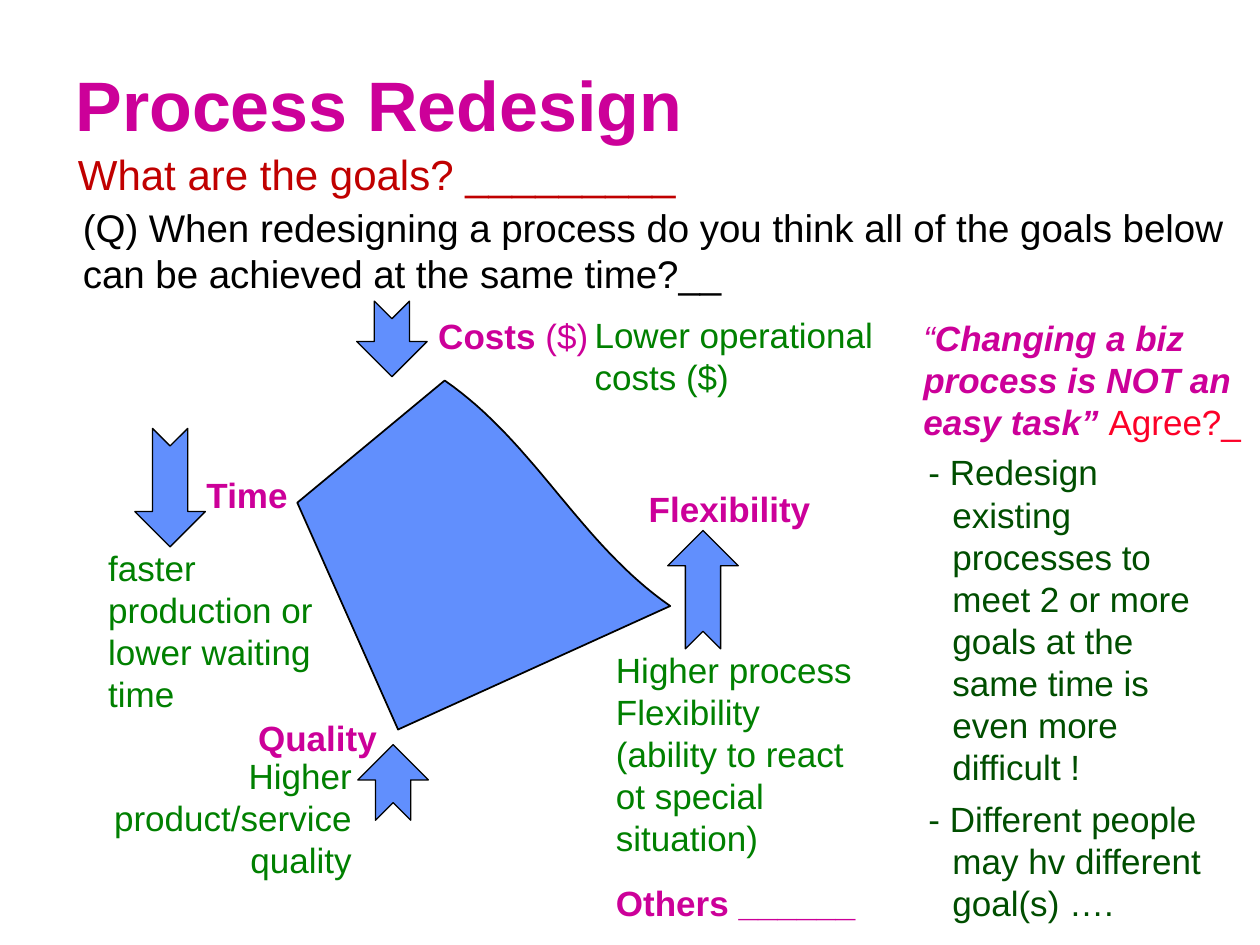
from pptx import Presentation
from pptx.dml.color import RGBColor
from pptx.enum.shapes import MSO_SHAPE as Kind
from pptx.enum.text import MSO_ANCHOR as Anchor, PP_ALIGN as Align
from pptx.util import Inches as In, Pt

PINK, GREEN, DARK = "CC0099", "008000", "004E00"
RED, BRIGHT, BLACK, BLUE = "C00000", "FC0128", "000000", "618FFD"

TITLE = "Process Redesign"

# Box (left, top, width, height), paragraphs, format
LABELS = [
    ((3.38, 2.45, 1.4, 0.44), [[("Costs ", {}), ("($)", {"bold": False})]]),
    ((1.95, 5.64, 1.15, 0.44), ["Quality"]),
    ((1.54, 3.71, 0.85, 0.44), ["Time"]),
    ((5.05, 3.82, 1.49, 0.44), ["Flexibility"]),
]
NOTES = [
    ((4.62, 2.44, 2.69, 0.77), ["Lower operational costs ($)"], {}),
    ((4.79, 5.1, 2.12, 1.78),
     ["Higher process",
      "Flexibility (ability to react ot special situation)"], {}),
    ((0.37, 5.94, 2.52, 1.11), ["Higher product/service quality"],
     {"align": Align.RIGHT}),
    ((0.76, 4.29, 1.98, 1.45),
     ["faster production or lower waiting time"], {}),
    ((0.56, 1.57, 9.46, 0.84),
     ["(Q) When redesigning a process do you think all of the goals below "
      "can be achieved at the same time?__"], {"size": 22, "color": BLACK}),
    ((7.23, 2.46, 2.8, 1.45),
     [[("“", {"italic": True}),
       ("Changing a biz process is NOT an easy task” ",
        {"bold": True, "italic": True}),
       ("Agree?_", {"color": BRIGHT})]], {"color": PINK}),
    ((7.27, 3.53, 2.51, 3.89),
     ["- Redesign existing processes to meet 2 or more goals at the same "
      "time is even more difficult !",
      "- Different people may hv different goal(s) …."],
     {"color": DARK, "hang": 0.19, "gap": 6}),
    ((0.52, 1.13, 7.05, 0.91), ["What are the goals? _________"],
     {"size": 24, "color": RED}),
    ((4.79, 6.95, 4.39, 0.44), ["Others ______"],
     {"color": PINK, "bold": True}),
]

# Centre x, centre y, length, turn
ARROWS = [
    (3.11, 2.69, 0.6, 90),
    (1.35, 3.87, 0.94, 90),
    (3.12, 6.21, 0.6, 270),
    (5.58, 4.68, 0.94, 270),
]
BREADTH = 0.56

COST, TIME, QUALITY, FLEX = (3.53, 3.02), (2.36, 3.99), (3.16, 5.79), (5.32, 4.81)
BEND = (4.6, 4.31), (4.25, 3.52)
STEPS = 32


def rgb(code):
    return RGBColor.from_string(code)


def write(frame, paras, size=20, color=GREEN, bold=False, align=Align.LEFT,
          hang=0, gap=0, space=None):
    """Fill a frame; a paragraph is a string or a list of (text, format)."""
    for n, para in enumerate(paras):
        line = frame.add_paragraph() if n else frame.paragraphs[0]
        line.alignment = align
        line.line_spacing = space
        line.space_before = Pt(gap if n else 0)
        if hang:
            props = line._p.get_or_add_pPr()
            props.set("marL", str(In(hang)))
            props.set("indent", str(-In(hang)))
        for text, own in [(para, {})] if isinstance(para, str) else para:
            run = line.add_run()
            run.text = text
            font = run.font
            font.name, font.size = "Arial", Pt(size)
            font.bold = own.get("bold", bold)
            font.italic = own.get("italic", False)
            font.color.rgb = rgb(own.get("color", color))


def add_text(slide, box, paras, wrap=True, **style):
    frame = slide.shapes.add_textbox(*map(In, box)).text_frame
    frame.word_wrap = wrap
    write(frame, paras, **style)


def paint(shape, width):
    shape.shadow.inherit = False
    shape.fill.solid()
    shape.fill.fore_color.rgb = rgb(BLUE)
    shape.line.color.rgb = rgb(BLACK)
    shape.line.width = Pt(width)


def curve(a, b, c, d):
    """Points along a cubic Bezier curve, without its start."""
    for n in range(1, STEPS + 1):
        t = n / STEPS
        u = 1 - t
        yield tuple(u**3 * p + 3 * u * u * t * q + 3 * u * t * t * r + t**3 * s
                    for p, q, r, s in zip(a, b, c, d))


def add_goals(slide):
    edge = [COST, TIME, QUALITY, FLEX, *curve(FLEX, *BEND, COST)]
    # The builder rounds to whole units, so points go in as EMU.
    start, *rest = [(In(x), In(y)) for x, y in edge]
    pen = slide.shapes.build_freeform(*start)
    pen.add_line_segments(rest, close=True)
    paint(pen.convert_to_shape(), 1)


def add_arrow(slide, x, y, size, turn):
    box = x - size / 2, y - BREADTH / 2, size, BREADTH
    arrow = slide.shapes.add_shape(Kind.NOTCHED_RIGHT_ARROW, *map(In, box))
    arrow.rotation = turn
    paint(arrow, 0.75)


def add_title(slide):
    title = slide.shapes.title
    title.left, title.top, title.width, title.height = map(In, (0.5, 0.25, 9, 1.25))
    title.text_frame.vertical_anchor = Anchor.MIDDLE
    write(title.text_frame, [TITLE], size=40, color=PINK, bold=True, space=0.85)


def main():
    deck = Presentation()
    deck.slide_width, deck.slide_height = In(10), In(7.5)
    slide = deck.slides.add_slide(deck.slide_layouts[5])
    add_title(slide)
    add_goals(slide)
    for box, paras in LABELS:
        add_text(slide, box, paras, wrap=False, color=PINK, bold=True)
    for arrow in ARROWS:
        add_arrow(slide, *arrow)
    for box, paras, style in NOTES:
        add_text(slide, box, paras, **style)
    deck.save("out.pptx")


if __name__ == "__main__":
    main()
